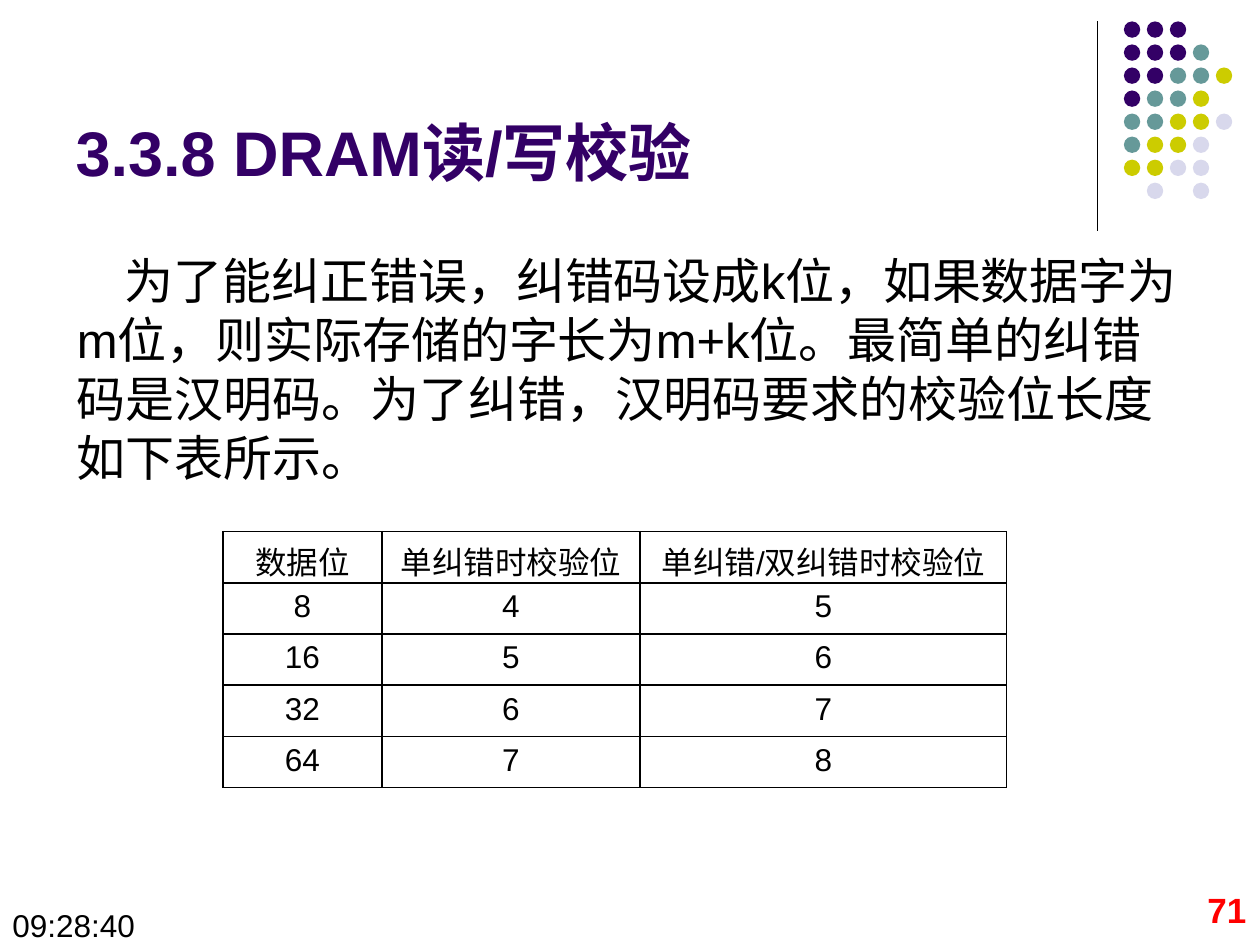
from dataclasses import dataclass

from lxml.etree import SubElement as Sub
from pptx import Presentation
from pptx.dml.color import RGBColor as RGB
from pptx.enum.shapes import MSO_CONNECTOR as Conn, MSO_SHAPE as Shape
from pptx.enum.text import MSO_ANCHOR as Anchor, PP_ALIGN as Align
from pptx.oxml.ns import qn
from pptx.util import Inches, Pt


@dataclass(frozen=True)
class Theme:
    font: str = "Arial"
    ink: str = "000000"
    plum: str = "330066"
    teal: str = "669999"
    lime: str = "CCCC00"
    pale: str = "D8D8EC"
    red: str = "FF0000"
    head: int = 36
    body: int = 28
    page: int = 20
    small: int = 18


def put(frame, text, size, color, font, bold=False, align=Align.LEFT):
    """Write one formatted paragraph and return it."""
    para = frame.paragraphs[0]
    para.alignment = align
    para.space_before = Pt(0)
    run = para.add_run()
    run.text = text
    run.font.name = font
    run.font.size = Pt(size)
    run.font.bold = bold
    run.font.color.rgb = RGB.from_string(color)
    return para


class Deck:
    def __init__(self, theme):
        self.theme = theme
        self.file = Presentation()
        self.file.slide_width = Inches(10)
        self.file.slide_height = Inches(7.5)
        self.slide = self.file.slides.add_slide(self.file.slide_layouts[1])
        self.shapes = self.slide.shapes

    def place(self, item, box):
        item.left, item.top, item.width, item.height = map(Inches, box)

    def title(self, text, box):
        item = self.shapes.title
        self.place(item, box)
        item.text_frame.vertical_anchor = Anchor.BOTTOM
        put(item.text_frame, text, self.theme.head, self.theme.plum,
            self.theme.font, bold=True)

    def body(self, text, box, indent):
        item = self.slide.placeholders[1]
        self.place(item, box)
        para = put(item.text_frame, text, self.theme.body, self.theme.ink,
                   self.theme.font)
        props = para._p.get_or_add_pPr()
        props.set("marL", "0")
        props.set("indent", str(Inches(indent)))
        Sub(props, qn("a:buNone"))

    def label(self, text, box, size, color, **style):
        frame = self.shapes.add_textbox(*map(Inches, box)).text_frame
        frame.word_wrap = True
        put(frame, text, size, color, self.theme.font, **style)

    def line(self, *ends):
        item = self.shapes.add_connector(Conn.STRAIGHT, *map(Inches, ends))
        item.line.color.rgb = RGB.from_string(self.theme.ink)
        item.line.width = Pt(0.75)
        Sub(item._element.spPr, qn("a:effectLst"))

    def dot(self, left, top, size, color):
        item = self.shapes.add_shape(
            Shape.OVAL, *map(Inches, (left, top, size, size)))
        item.shadow.inherit = False
        item.fill.solid()
        item.fill.fore_color.rgb = RGB.from_string(color)
        item.line.fill.background()

    def border(self, cell):
        props = cell._tc.get_or_add_tcPr()
        for spot, side in enumerate(("a:lnL", "a:lnR", "a:lnT", "a:lnB")):
            edge = props.makeelement(qn(side), {"w": str(Pt(1))})
            fill = Sub(edge, qn("a:solidFill"))
            Sub(fill, qn("a:srgbClr"), val=self.theme.ink)
            props.insert(spot, edge)

    def table(self, rows, box, widths):
        grid = self.shapes.add_table(
            len(rows), len(widths), *map(Inches, box)).table
        grid.first_row = grid.horz_banding = False
        for col, width in zip(grid.columns, widths):
            col.width = Inches(width)
        for row, words in zip(grid.rows, rows):
            for cell, text in zip(row.cells, words):
                cell.fill.background()
                self.border(cell)
                put(cell.text_frame, text, self.theme.small, self.theme.ink,
                    self.theme.font, align=Align.CENTER)


def main():
    theme = Theme()
    deck = Deck(theme)

    # Corner rule and dot pattern
    deck.line(8.71, 0.17, 8.71, 1.83)
    hues = {"p": theme.plum, "t": theme.teal, "l": theme.lime, "w": theme.pale}
    dots = ("ppp", "pppt", "ppttl", "pttl", "ttllw", "tllw", "llww", " w w")
    for row, marks in enumerate(dots):
        for col, mark in enumerate(marks):
            if mark in hues:
                deck.dot(8.92 + col * 0.73 / 4, 0.17 + row * 1.28 / 7, 0.13,
                         hues[mark])

    # Title and text
    deck.title("3.3.8 DRAM读/写校验", (0.5, 0.13, 8.56, 1.42))
    deck.body("为了能纠正错误，纠错码设成k位，如果数据字为m位，则实际存储的字长为"
              "m+k位。最简单的纠错码是汉明码。为了纠错，汉明码要求的校验位长度"
              "如下表所示。", (0.51, 1.94, 9, 2.05), indent=0.38)

    # Page number and clock
    deck.label("71", (7.66, 7, 2.33, 0.5), theme.page, theme.red,
               bold=True, align=Align.RIGHT)
    deck.label("09:28:40", (0, 7.14, 1.3, 0.35), theme.small, theme.ink)

    # Check bit lengths
    rows = [("数据位", "单纠错时校验位", "单纠错/双纠错时校验位"),
            ("8", "4", "5"),
            ("16", "5", "6"),
            ("32", "6", "7"),
            ("64", "7", "8")]
    deck.table(rows, (1.77, 4.22, 6.22, 2.03), (1.26, 2.05, 2.91))

    deck.file.save("out.pptx")


if __name__ == "__main__":
    main()
